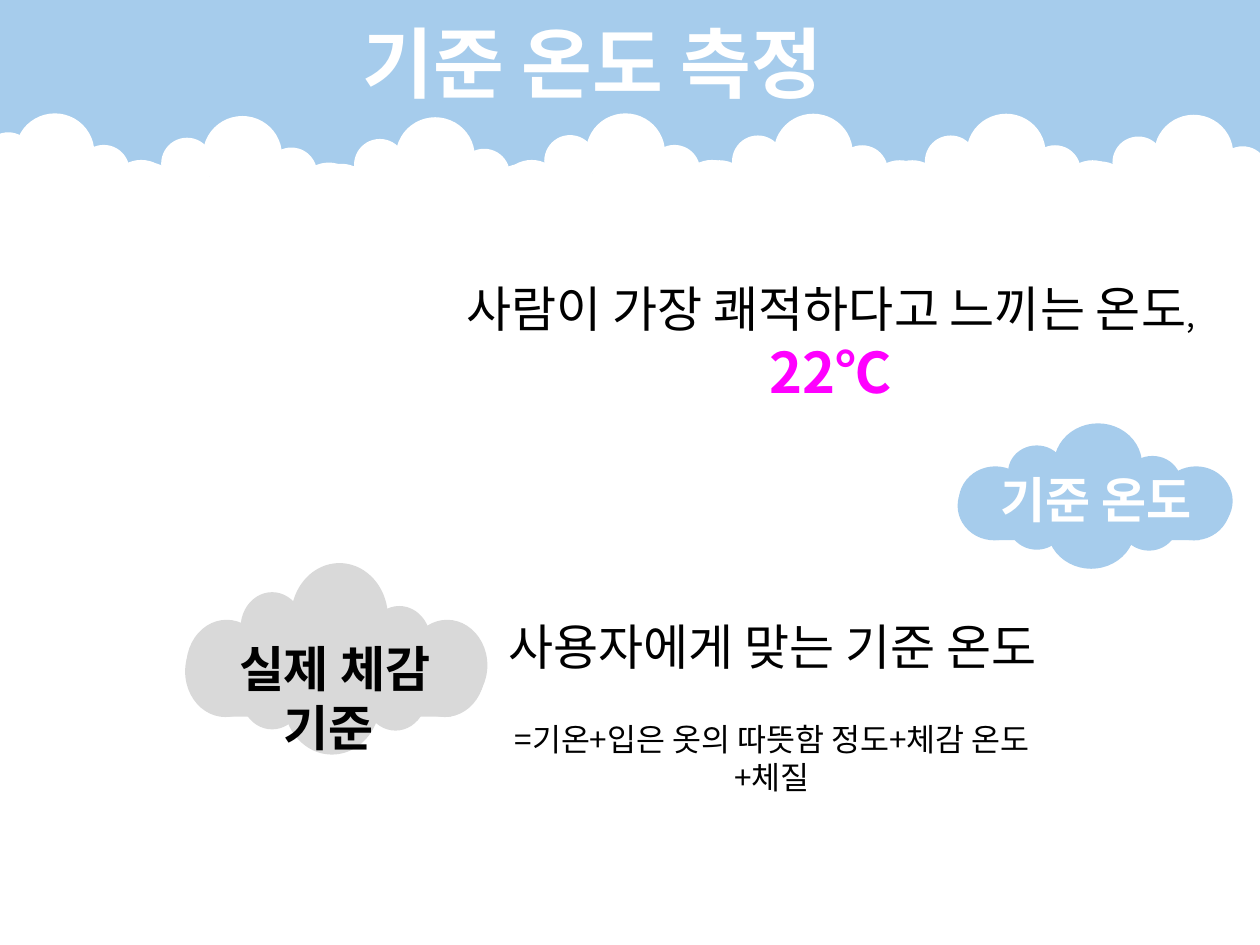
from lxml.etree import SubElement
from pptx import Presentation
from pptx.dml.color import RGBColor
from pptx.enum.shapes import MSO_SHAPE as Preset
from pptx.enum.text import MSO_ANCHOR as Anchor, MSO_AUTO_SIZE as AutoSize, PP_ALIGN as Align
from pptx.oxml.ns import qn
from pptx.util import Pt

SKY = RGBColor(0xA6, 0xCC, 0xEC)
WHITE = RGBColor(0xFF, 0xFF, 0xFF)
GREY = RGBColor(0xD9, 0xD9, 0xD9)
BLACK = RGBColor(0x00, 0x00, 0x00)
MAGENTA = RGBColor(0xFF, 0x00, 0xFF)
FONT = "Noto Sans CJK KR"
OVAL, RECT = Preset.OVAL, Preset.RECTANGLE


def add_puff(group, preset, box, color):
    puff = group.shapes.add_shape(preset, *[Pt(round(length, 2)) for length in box])
    puff.shadow.inherit = False
    puff.fill.solid()
    puff.fill.fore_color.rgb = color
    puff.line.fill.background()


def style(font, size, color, bold=False):
    """Format a run or paragraph font, for Latin and Korean script alike."""
    font.size, font.bold, font.name = Pt(size), bold, FONT
    font.color.rgb = color
    SubElement(font._rPr, qn("a:ea"), typeface=FONT)


prs = Presentation()
prs.slide_width, prs.slide_height = Pt(720), Pt(540)
slide = prs.slides.add_slide(prs.slide_layouts[5])
slide.background.fill.solid()
slide.background.fill.fore_color.rgb = SKY

# White cloud bank: each cloud is placed by its left puff; the first is cut at the slide edge
bank = slide.shapes.add_group_shape()
SHARED_PUFFS = [
    (OVAL, 103, 0, 37.4, 37.4),
    (OVAL, 49.7, -26.6, 45.2, 44.8),
    (OVAL, 85.5, -8.6, 29.5, 29.5),
]
LEFT_PUFFS = [
    (OVAL, 0, 0, 37.4, 37.4),
    (OVAL, 25.9, -14.2, 29.5, 29.5),
    (RECT, 20, 7.9, 105, 29.5),
]
EDGE_PUFFS = [(OVAL, 31, -15.8, 29.5, 29.5), (RECT, 40.3, 7.9, 85, 29.5)]
BANK_CLOUDS = [(-41, 91.4), (66.2, 92.9), (176.4, 93.6), (285.1, 91.4),
               (392.4, 91.6), (502.6, 91.6), (609.8, 92.2)]
for cloud_left, cloud_top in BANK_CLOUDS:
    side_puffs = EDGE_PUFFS if cloud_left < 0 else LEFT_PUFFS
    for preset, x, y, width, height in SHARED_PUFFS + side_puffs:
        add_puff(bank, preset, (cloud_left + x, cloud_top + y, width, height), WHITE)
add_puff(bank, RECT, (-0.7, 122.4, 725, 417.6), WHITE)

# Label clouds: one pattern, scaled
CLOUD_PUFFS = [
    (OVAL, 0, 36, 46, 52), (OVAL, 125.3, 36, 46, 52),
    (OVAL, 31.7, 16.6, 36, 40.3), (OVAL, 60.5, 0, 55.4, 61.9),
    (OVAL, 104.4, 24.5, 36, 40.3), (RECT, 23.8, 46.8, 128.2, 41),
    (OVAL, 126.7, 32.4, 46, 52), (OVAL, 0.7, 32.4, 46, 52),
    (OVAL, 102.2, 55.4, 36, 40.3), (OVAL, 56.2, 47.5, 55.4, 61.9),
    (OVAL, 31.7, 54.7, 36, 40.3), (RECT, 17.3, 37.4, 128.2, 41),
]
LABEL_CLOUDS = [(105.8, 321.8, 1, 1, GREY), (547.2, 241.9, 0.91, 0.76, SKY)]
for cloud_left, cloud_top, x_scale, y_scale, color in LABEL_CLOUDS:
    cloud = slide.shapes.add_group_shape()
    for preset, x, y, width, height in CLOUD_PUFFS:
        add_puff(cloud, preset, (cloud_left + x * x_scale, cloud_top + y * y_scale,
                                 width * x_scale, height * y_scale), color)

title = slide.shapes.title
title.left, title.top, title.width, title.height = Pt(104.4), Pt(5), Pt(468.7), Pt(60.5)
title.text_frame.text = "기준 온도 측정"
title.text_frame.auto_size = AutoSize.NONE
title.text_frame.vertical_anchor = Anchor.TOP
heading = title.text_frame.paragraphs[0]
heading.alignment = Align.CENTER
style(heading.font, 44, WHITE, True)
slide.shapes._spTree.append(title._element)

# Each box holds paragraphs of (space before, runs)
TEXTS = [
    ((244.8, 155.5, 460, 46), [(0, [("사람이 가장 쾌적하다고 느끼는 온도", 28, BLACK, False),
                                    (", ", 18, BLACK, False),
                                    ("22℃", 32, MAGENTA, True)])]),
    ((103.7, 361.4, 175, 41), [(0, [("실제 체감 기준 ", 28, BLACK, True)])]),
    ((280.8, 348.5, 321, 85), [(0, [("사용자에게 맞는 기준 온도", 28, BLACK, False)]),
                               (26, [("=기온+입은 옷의 따뜻함 정도+체감 온도+체질",
                                      18, BLACK, False)])]),
    ((563, 265, 126.7, 99.4), [(0, [("기준 온도", 28, WHITE, True)])]),
]
for box, paragraphs in TEXTS:
    frame = slide.shapes.add_textbox(*[Pt(length) for length in box]).text_frame
    frame.word_wrap = True
    for index, (space_before, runs) in enumerate(paragraphs):
        paragraph = frame.add_paragraph() if index else frame.paragraphs[0]
        paragraph.alignment = Align.CENTER
        if space_before:
            paragraph.space_before = Pt(space_before)
        for text, size, color, bold in runs:
            run = paragraph.add_run()
            run.text = text
            if len(runs) > 1:
                style(run.font, size, color, bold)
        if len(runs) == 1:
            style(paragraph.font, size, color, bold)

prs.save("out.pptx")
